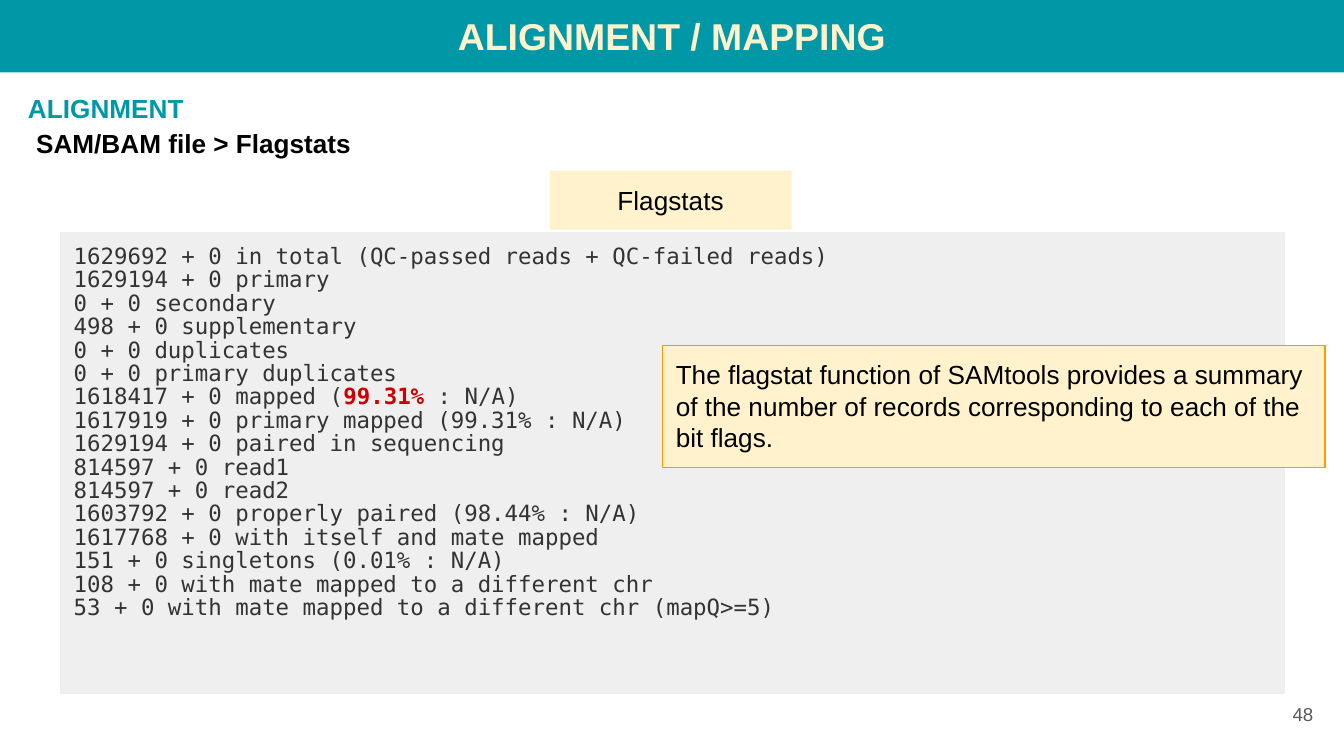
"""Build the alignment slide on SAMtools flagstat output."""
from pptx import Presentation
from pptx.dml.color import RGBColor
from pptx.enum.shapes import MSO_SHAPE
from pptx.enum.text import MSO_ANCHOR, PP_ALIGN
from pptx.util import Inches, Pt

RECT = MSO_SHAPE.RECTANGLE
TOP, MIDDLE = MSO_ANCHOR.TOP, MSO_ANCHOR.MIDDLE
LEFT, CENTER, RIGHT = PP_ALIGN.LEFT, PP_ALIGN.CENTER, PP_ALIGN.RIGHT

TEAL = RGBColor(0x00, 0x97, 0xA7)
CREAM = RGBColor(0xFF, 0xF2, 0xCC)
ORANGE = RGBColor(0xFF, 0x99, 0x00)
BLACK = RGBColor(0x00, 0x00, 0x00)
DARK = RGBColor(0x33, 0x33, 0x33)
GRAY = RGBColor(0x59, 0x59, 0x59)
RED = RGBColor(0xCC, 0x00, 0x00)
PANEL = RGBColor(0xEF, 0xEF, 0xEF)
PANEL_LINE = RGBColor(0xEE, 0xEE, 0xEE)

SANS, MONO = "Arial", "DejaVu Sans Mono"

prs = Presentation()
prs.slide_width = Inches(10)
prs.slide_height = Inches(10) * 9 // 16
s = prs.slides.add_slide(prs.slide_layouts[6])


def add_box(x, y, w, h, fill=None, line=None, anchor=TOP):
    box = [Inches(v) for v in (x, y, w, h)]
    if fill is None:
        sp = s.shapes.add_textbox(*box)
    else:
        sp = s.shapes.add_shape(RECT, *box)
        sp.shadow.inherit = False
        sp.fill.solid()
        sp.fill.fore_color.rgb = fill
        if line is None:
            sp.line.fill.background()
        else:
            sp.line.color.rgb = line
            sp.line.width = Pt(0.75)
    tf = sp.text_frame
    tf.word_wrap = True
    tf.vertical_anchor = anchor
    tf.margin_left = tf.margin_right = Inches(0.1)
    tf.margin_top = tf.margin_bottom = Inches(0.1)
    return tf


def add_run(p, text, size, color, bold=False, font=SANS):
    r = p.add_run()
    r.text = text
    r.font.name = font
    r.font.size = Pt(size)
    r.font.bold = bold
    r.font.color.rgb = color


tf = add_box(0.17, 0.85, 4.18, 0.44)
add_run(tf.paragraphs[0], "SAM/BAM file > Flagstats", 14, BLACK, bold=True)

FLAGSTAT_LINES = [
    ["1629692 + 0 in total (QC-passed reads + QC-failed reads)"],
    ["1629194 + 0 primary"],
    ["0 + 0 secondary"],
    ["498 + 0 supplementary"],
    ["0 + 0 duplicates"],
    ["0 + 0 primary duplicates"],
    ["1618417 + 0 mapped (", "99.31%", " : N/A)"],
    ["1617919 + 0 primary mapped (99.31% : N/A)"],
    ["1629194 + 0 paired in sequencing"],
    ["814597 + 0 read1"],
    ["814597 + 0 read2"],
    ["1603792 + 0 properly paired (98.44% : N/A)"],
    ["1617768 + 0 with itself and mate mapped"],
    ["151 + 0 singletons (0.01% : N/A)"],
    ["108 + 0 with mate mapped to a different chr"],
    ["53 + 0 with mate mapped to a different chr (mapQ>=5)"],
]
tf = add_box(0.45, 1.73, 9.11, 3.43, PANEL, PANEL_LINE)
for i, parts in enumerate(FLAGSTAT_LINES):
    p = tf.add_paragraph() if i else tf.paragraphs[0]
    p.alignment = LEFT
    p.line_spacing = 0.87
    for j, text in enumerate(parts):
        key = j == 1
        add_run(p, text, 12, RED if key else DARK, bold=key, font=MONO)

LABELS = [
    ("The flagstat function of SAMtools provides a summary of the number of "
     "records corresponding to each of the bit flags.",
     (4.93, 2.57, 4.93, 0.91, CREAM, ORANGE), LEFT, 14, BLACK, False),
    ("ALIGNMENT / MAPPING", (0, 0, 10, 0.54, TEAL), CENTER, 20, CREAM, True),
    ("48", (9.27, 5.1, 0.6, 0.43, None, None, MIDDLE), RIGHT, 10, GRAY, False),
    ("ALIGNMENT", (0.11, 0.59, 1.51, 0.44), LEFT, 14, TEAL, True),
    ("Flagstats", (4.09, 1.27, 1.8, 0.44, CREAM), CENTER, 14, BLACK, False),
]
for text, box, align, size, color, bold in LABELS:
    p = add_box(*box).paragraphs[0]
    p.alignment = align
    add_run(p, text, size, color, bold)

prs.save("out.pptx")
